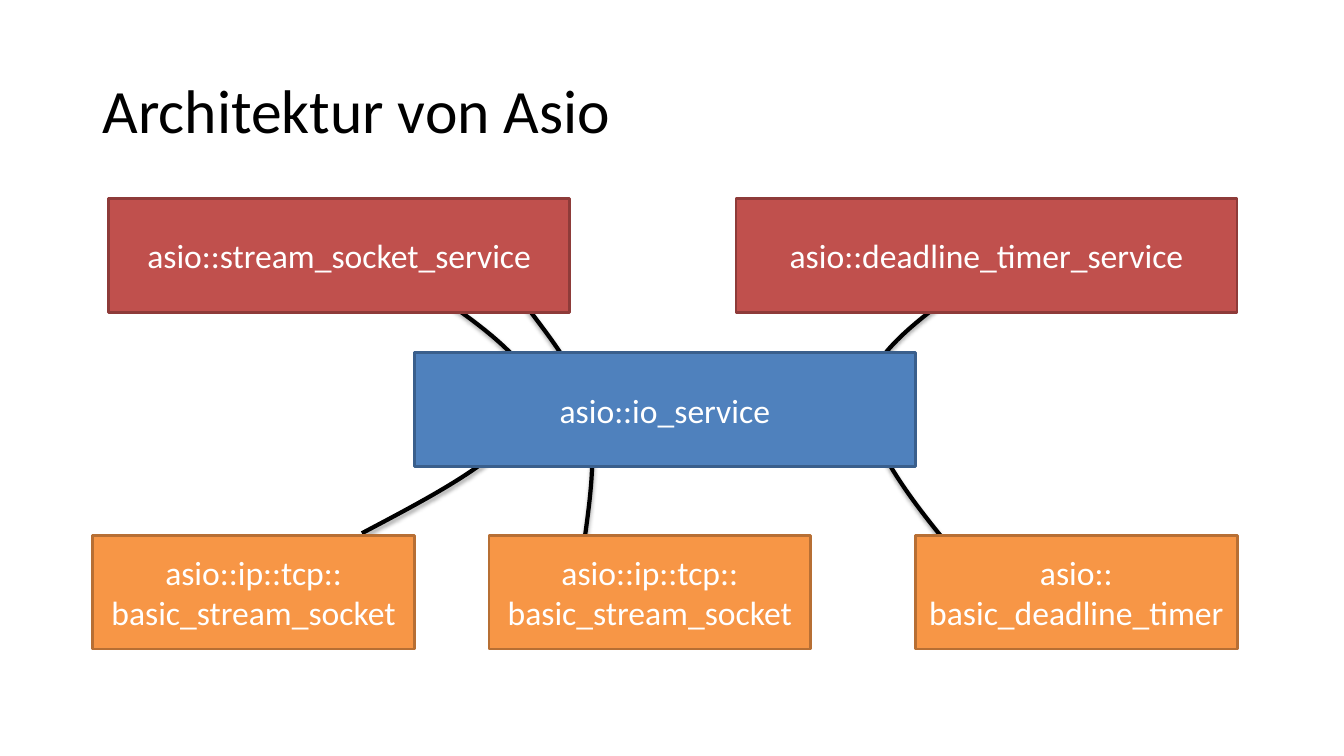
from lxml import etree
from pptx import Presentation
from pptx.dml.color import RGBColor
from pptx.enum.shapes import MSO_SHAPE
from pptx.enum.text import MSO_ANCHOR, PP_ALIGN
from pptx.oxml import parse_xml
from pptx.oxml.ns import qn
from pptx.util import Inches, Pt

RECTANGLE = MSO_SHAPE.RECTANGLE
MIDDLE = MSO_ANCHOR.MIDDLE
LEFT, CENTER = PP_ALIGN.LEFT, PP_ALIGN.CENTER

BLACK = RGBColor(0x00, 0x00, 0x00)
WHITE = RGBColor(0xFF, 0xFF, 0xFF)
BLUE, BLUE_EDGE = RGBColor(0x4F, 0x81, 0xBD), RGBColor(0x3A, 0x5F, 0x8C)
RED, RED_EDGE = RGBColor(0xC0, 0x50, 0x4D), RGBColor(0x8E, 0x3B, 0x39)
ORANGE, ORANGE_EDGE = RGBColor(0xF7, 0x96, 0x46), RGBColor(0xB7, 0x6F, 0x34)

BOX_HEIGHT = 1.13
SERVICE_TOP, CORE_TOP, OBJECT_TOP = 1.97, 3.5, 5.31
WIDE, NARROW = 4.97, 3.19

SHADOW = (
    '<a:outerShdw xmlns:a="http://schemas.openxmlformats.org/drawingml/2006/main"'
    f' blurRad="{Pt(3.1)}" dist="{Pt(1.8)}" dir="5400000" rotWithShape="0">'
    '<a:srgbClr val="000000"><a:alpha val="35000"/></a:srgbClr></a:outerShdw>'
)


def write_text(frame, text, font="Calibri", size=24, color=WHITE, align=CENTER, spacing=1.0):
    """Fill a text frame, with one paragraph for each line of text."""
    frame.word_wrap = True
    frame.vertical_anchor = MIDDLE
    for index, line in enumerate(text.split("\n")):
        para = frame.paragraphs[0] if index == 0 else frame.add_paragraph()
        para.alignment = align
        para.line_spacing = spacing
        span = para.add_run()
        span.text = line
        span.font.name = font
        span.font.size = Pt(size)
        span.font.color.rgb = color


class DiagramPage:
    """Draws the elements of the diagram on one slide."""

    def __init__(self, page, edge_width=2, link_width=3):
        """Keep the slide and the line widths in points."""
        self.shapes = page.shapes
        self.edge_width = Pt(edge_width)
        self.link_width = Pt(link_width)

    def title(self, text):
        """Add the heading."""
        box = self.shapes.add_textbox(Inches(0.92), Inches(0.4), Inches(11.5), Inches(1.45))
        write_text(box.text_frame, text, size=44, color=BLACK, align=LEFT, spacing=0.9)

    def box(self, text, left, top, width, fill, edge):
        """Add a labelled rectangle."""
        box = self.shapes.add_shape(
            RECTANGLE, Inches(left), Inches(top), Inches(width), Inches(BOX_HEIGHT))
        box.shadow.inherit = False
        box.fill.solid()
        box.fill.fore_color.rgb = fill
        box.line.color.rgb = edge
        box.line.width = self.edge_width
        write_text(box.text_frame, text)

    def link(self, points):
        """Add a shadowed curve: a start, then three points for each Bezier part."""
        start, *rest = [(Inches(x), Inches(y)) for x, y in points]
        builder = self.shapes.build_freeform(*start)
        builder.add_line_segments(rest, close=False)
        curve = builder.convert_to_shape()
        segments = list(curve.element.iter(qn("a:lnTo")))
        for first in range(0, len(segments), 3):
            bezier = etree.Element(qn("a:cubicBezTo"))
            segments[first].addprevious(bezier)
            for segment in segments[first:first + 3]:
                bezier.append(segment[0])
                segment.getparent().remove(segment)
        curve.fill.background()
        curve.line.color.rgb = BLACK
        curve.line.width = self.link_width
        curve.shadow.inherit = False
        curve.element.spPr.find(qn("a:effectLst")).append(parse_xml(SHADOW))


LINKS = [
    [(3.59, 5.29), (4.46, 4.83), (5.33, 4.38), (5.29, 3.87),
     (5.24, 3.37), (3.65, 2.53), (3.3, 2.27)],
    [(5.78, 5.48), (5.85, 4.97), (5.93, 4.47), (5.82, 4.05),
     (5.72, 3.62), (5.29, 3.16), (5.14, 2.92)],
    [(9.89, 5.97), (9.25, 5.24), (8.62, 4.51), (8.59, 3.97),
     (8.56, 3.42), (9.57, 2.9), (9.71, 2.7)],
]
SERVICES = [
    ("asio::stream_socket_service", 1.08, 4.57),
    ("asio::deadline_timer_service", 7.3, WIDE),
]
STREAM_SOCKET = "asio::ip::tcp::\nbasic_stream_socket"
IO_OBJECTS = [
    (STREAM_SOCKET, 0.92),
    (STREAM_SOCKET, 4.85),
    ("asio::\nbasic_deadline_timer", 9.08),
]


def main():
    """Build the slide and save the deck."""
    deck = Presentation()
    deck.slide_width, deck.slide_height = Inches(13.33), Inches(7.5)
    diagram = DiagramPage(deck.slides.add_slide(deck.slide_layouts[6]))
    diagram.title("Architektur von Asio")
    for points in LINKS:
        diagram.link(points)
    diagram.box("asio::io_service", 4.11, CORE_TOP, WIDE, BLUE, BLUE_EDGE)
    for text, left, width in SERVICES:
        diagram.box(text, left, SERVICE_TOP, width, RED, RED_EDGE)
    for text, left in IO_OBJECTS:
        diagram.box(text, left, OBJECT_TOP, NARROW, ORANGE, ORANGE_EDGE)
    deck.save("out.pptx")


main()
